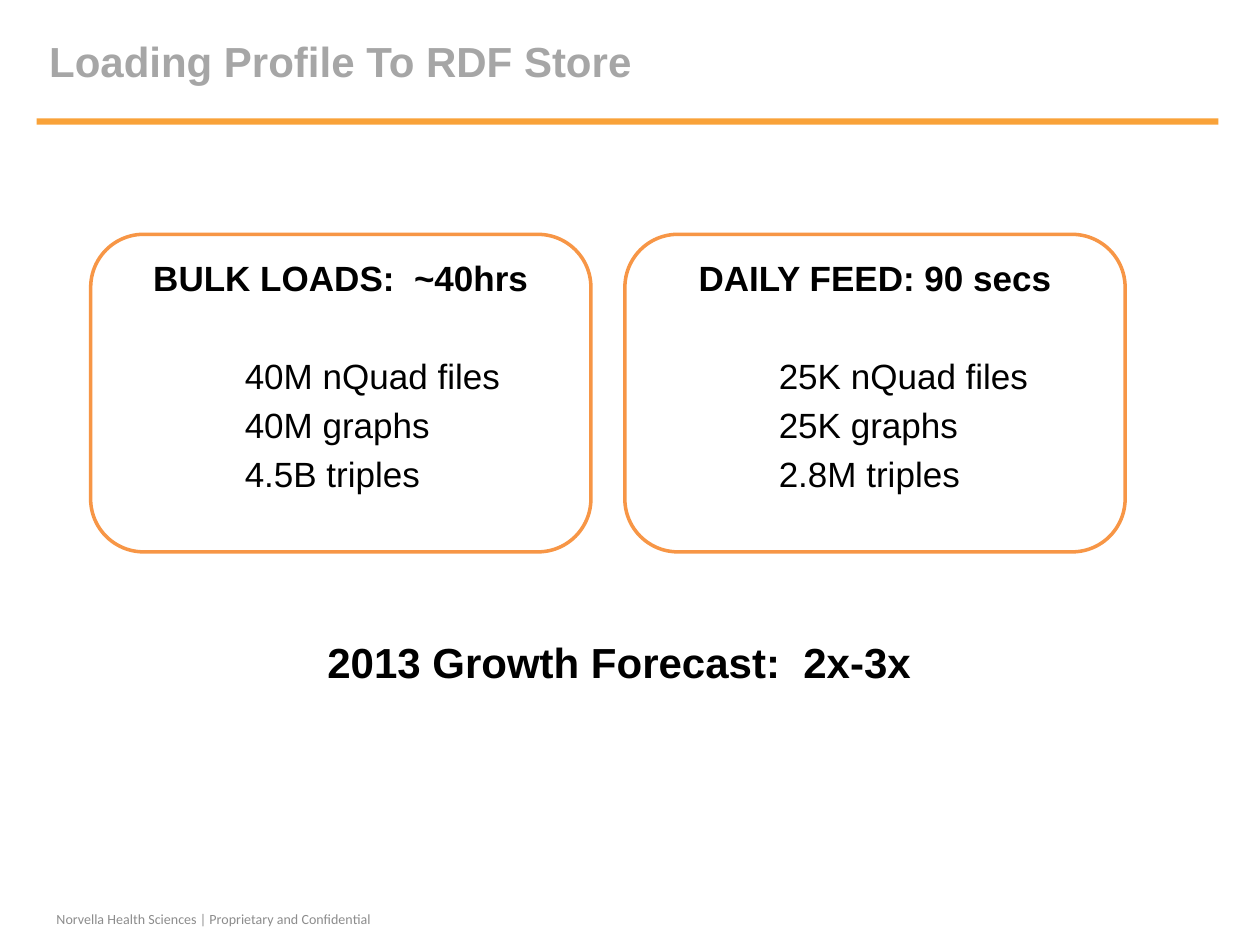
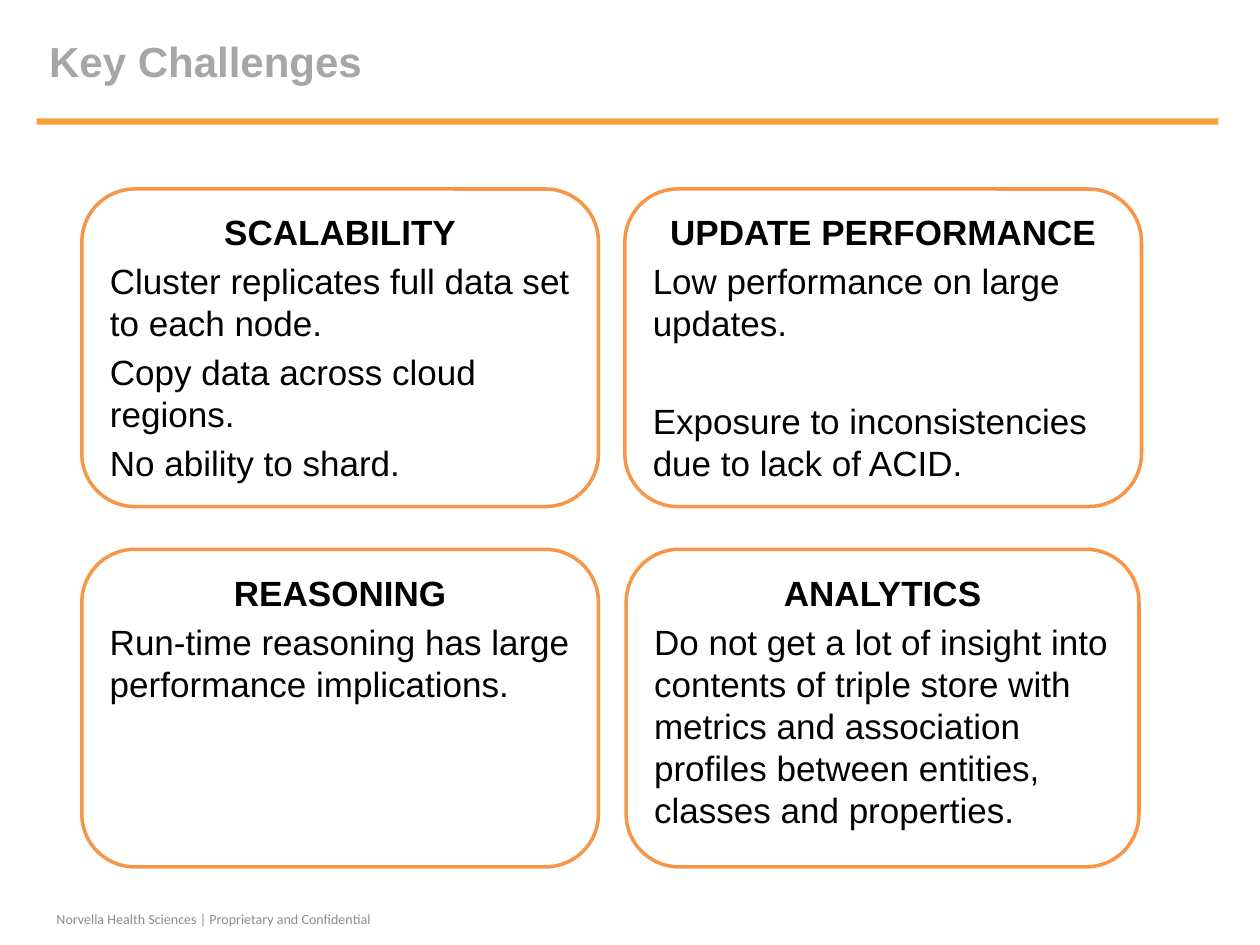
import pptx
import pptx.util
import pptx.dml.color
import pptx.enum.shapes
import pptx.enum.text
import pptx.oxml

Inches, Pt = pptx.util.Inches, pptx.util.Pt
RGBColor = pptx.dml.color.RGBColor
ALIGN = pptx.enum.text.PP_ALIGN
ANCHOR = pptx.enum.text.MSO_ANCHOR
SHAPE = pptx.enum.shapes.MSO_SHAPE

BAR_ORANGE = RGBColor(0xF9, 0xA2, 0x39)
CARD_ORANGE = RGBColor(0xF7, 0x96, 0x46)
TITLE_GREY = RGBColor(0xA6, 0xA6, 0xA6)
FOOTER_GREY = RGBColor(0x8C, 0x8C, 0x8C)
BLACK = RGBColor(0, 0, 0)
WHITE = RGBColor(0xFF, 0xFF, 0xFF)

FOOTER = "Norvella Health Sciences | Proprietary and Confidential"
MARGIN = 0.29
CARD_HEIGHT = 2.52
RIGHT_COLUMN = 4.96
LINE_GAP = 4    # points before each paragraph
BLOCK_GAP = 32  # points before a paragraph set apart by one line


def place(shape, left, top, width, height):
    shape.left, shape.top = Inches(left), Inches(top)
    shape.width, shape.height = Inches(width), Inches(height)


def write(para, text, size=20, bold=False, color=BLACK, font="Arial",
          align=ALIGN.LEFT, before=0, indent=0):
    """Write one unbulleted paragraph; indent is in inches."""
    para.alignment = align
    para.space_before = Pt(before)
    properties = para._p.get_or_add_pPr()
    properties.set("marL", str(Inches(indent)))
    properties.set("indent", "0")
    properties.append(pptx.oxml.parse_xml(
        '<a:buNone xmlns:a="http://schemas.openxmlformats.org/drawingml/2006/main"/>'))
    span = para.add_run()
    span.text = text
    span.font.name, span.font.size = font, Pt(size)
    span.font.bold, span.font.color.rgb = bold, color


def prepare_frame(shape, anchor=ANCHOR.TOP):
    frame = shape.text_frame
    frame.word_wrap = True
    frame.auto_size = pptx.enum.text.MSO_AUTO_SIZE.NONE
    frame.vertical_anchor = anchor
    return frame


def add_label(page, text, left, top, width, height, anchor=ANCHOR.TOP, **style):
    box = page.shapes.add_textbox(0, 0, 0, 0)
    place(box, left, top, width, height)
    write(prepare_frame(box, anchor).paragraphs[0], text, **style)


def add_page(deck, title):
    """Start a page with the shared title, bar and footer."""
    page = deck.slides.add_slide(deck.slide_layouts[1])
    bar = page.shapes.add_shape(SHAPE.RECTANGLE, 0, 0, 0, 0)
    place(bar, MARGIN, 0.94, 9.38, 0.05)
    bar.shadow.inherit = False
    bar.fill.solid()
    bar.fill.fore_color.rgb = BAR_ORANGE
    bar.line.fill.background()

    heading = page.shapes.title
    place(heading, MARGIN, 0, 8.42, 0.96)
    write(prepare_frame(heading, ANCHOR.MIDDLE).paragraphs[0], title,
          size=24, bold=True, color=TITLE_GREY)
    add_label(page, FOOTER, 0.35, 7.09, 5.74, 0.4, anchor=ANCHOR.MIDDLE,
              size=8, color=FOOTER_GREY, font="Calibri")
    return page


def round_outline(placeholder):
    """Give a placed placeholder the rounded outline of the other cards."""
    placeholder._element.spPr.append(pptx.oxml.parse_xml(
        '<a:prstGeom xmlns:a="http://schemas.openxmlformats.org/drawingml/2006/main" '
        'prst="roundRect"><a:avLst/></a:prstGeom>'))


def fill_card(card, heading, lines, left, top, width, indent=0, gap_at=None):
    """Format a card; gap_at is the index of the line set apart from those above."""
    place(card, left, top, width, CARD_HEIGHT)
    if card.is_placeholder:
        round_outline(card)
    else:
        card.shadow.inherit = False
    card.fill.solid()
    card.fill.fore_color.rgb = WHITE
    card.line.color.rgb = CARD_ORANGE
    card.line.width = Pt(2)
    frame = prepare_frame(card)
    write(frame.paragraphs[0], heading, bold=True, align=ALIGN.CENTER, before=LINE_GAP)
    for index, line in enumerate(lines):
        before = BLOCK_GAP if index == gap_at else LINE_GAP
        write(frame.add_paragraph(), line, before=before, indent=indent)


def add_card(page, *content, **layout):
    card = page.shapes.add_shape(SHAPE.ROUNDED_RECTANGLE, 0, 0, 0, 0)
    fill_card(card, *content, **layout)


def build_loading_page(deck):
    page = add_page(deck, "Loading Profile To RDF Store")
    layout = dict(top=1.86, width=3.97, indent=1, gap_at=0)
    fill_card(page.placeholders[1], "BULK LOADS:  ~40hrs",
              ["40M nQuad files", "40M graphs", "4.5B triples"], left=0.72, **layout)
    add_card(page, "DAILY FEED: 90 secs",
             ["25K nQuad files", "25K graphs", "2.8M triples"],
             left=RIGHT_COLUMN, **layout)
    add_label(page, "2013 Growth Forecast:  2x-3x", 2.5, 5, 5.39, 0.5,
              size=24, bold=True)


def build_challenges_page(deck):
    page = add_page(deck, "Key Challenges")
    columns, rows, width = (0.65, RIGHT_COLUMN), (1.5, 4.36), 4.1
    fill_card(page.placeholders[1], "SCALABILITY",
              ["Cluster replicates full data set to each node.",
               "Copy data across cloud regions.",
               "No ability to shard."],
              left=columns[0], top=rows[0], width=width)
    add_card(page, "UPDATE PERFORMANCE",
             ["Low performance on large updates.",
              "Exposure to inconsistencies due to lack of ACID."],
             left=columns[1], top=rows[0], width=width, gap_at=1)
    add_card(page, "REASONING",
             ["Run-time reasoning has large performance implications."],
             left=columns[0], top=rows[1], width=width)
    add_card(page, "ANALYTICS",
             ["Do not get a lot of insight into contents of triple store with "
              "metrics and association profiles between entities, classes and "
              "properties."],
             left=columns[1] + 0.01, top=rows[1], width=4.07)


def main():
    deck = pptx.Presentation()
    deck.slide_width, deck.slide_height = Inches(10), Inches(7.5)
    build_loading_page(deck)
    build_challenges_page(deck)
    deck.save("out.pptx")


if __name__ == "__main__":
    main()
